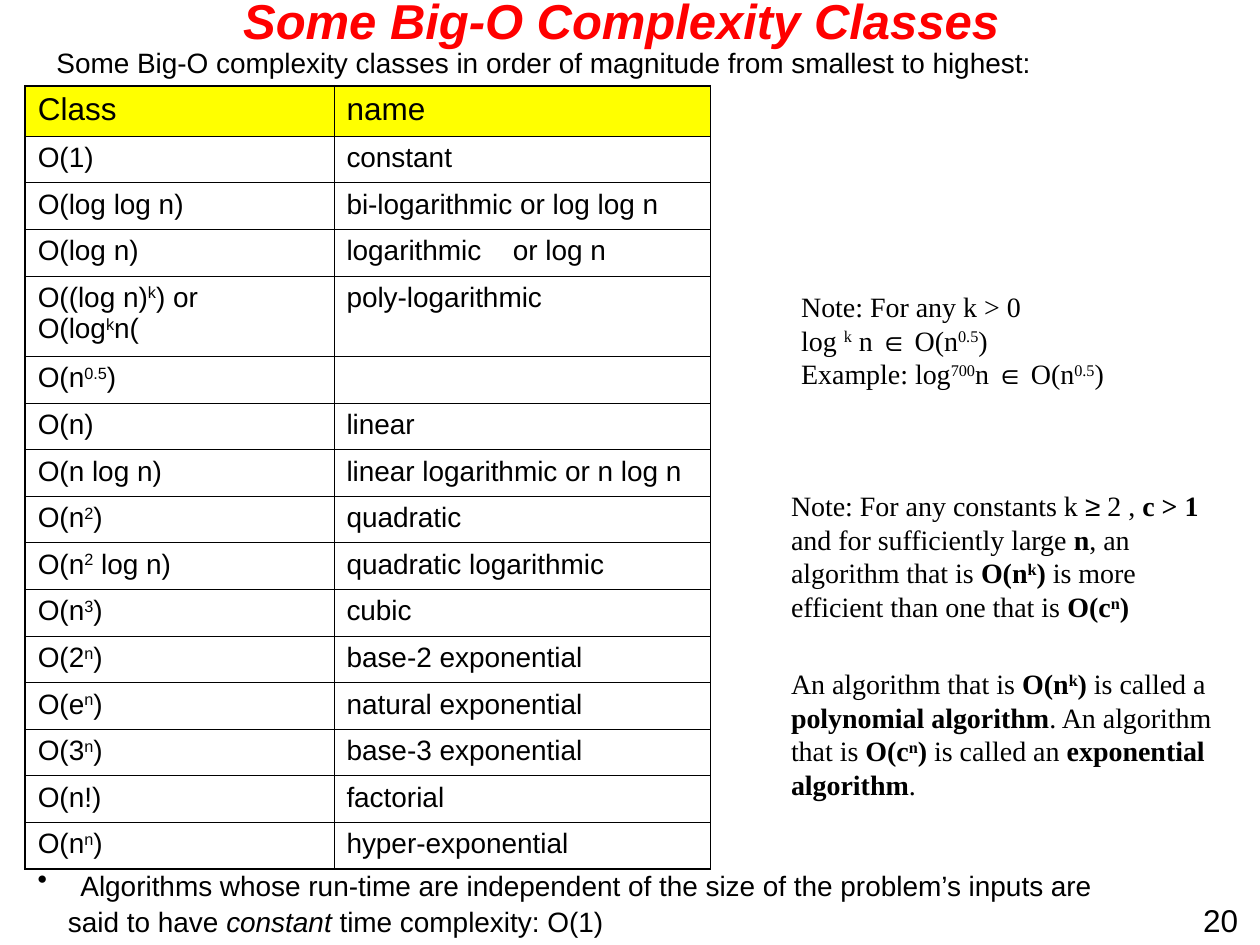
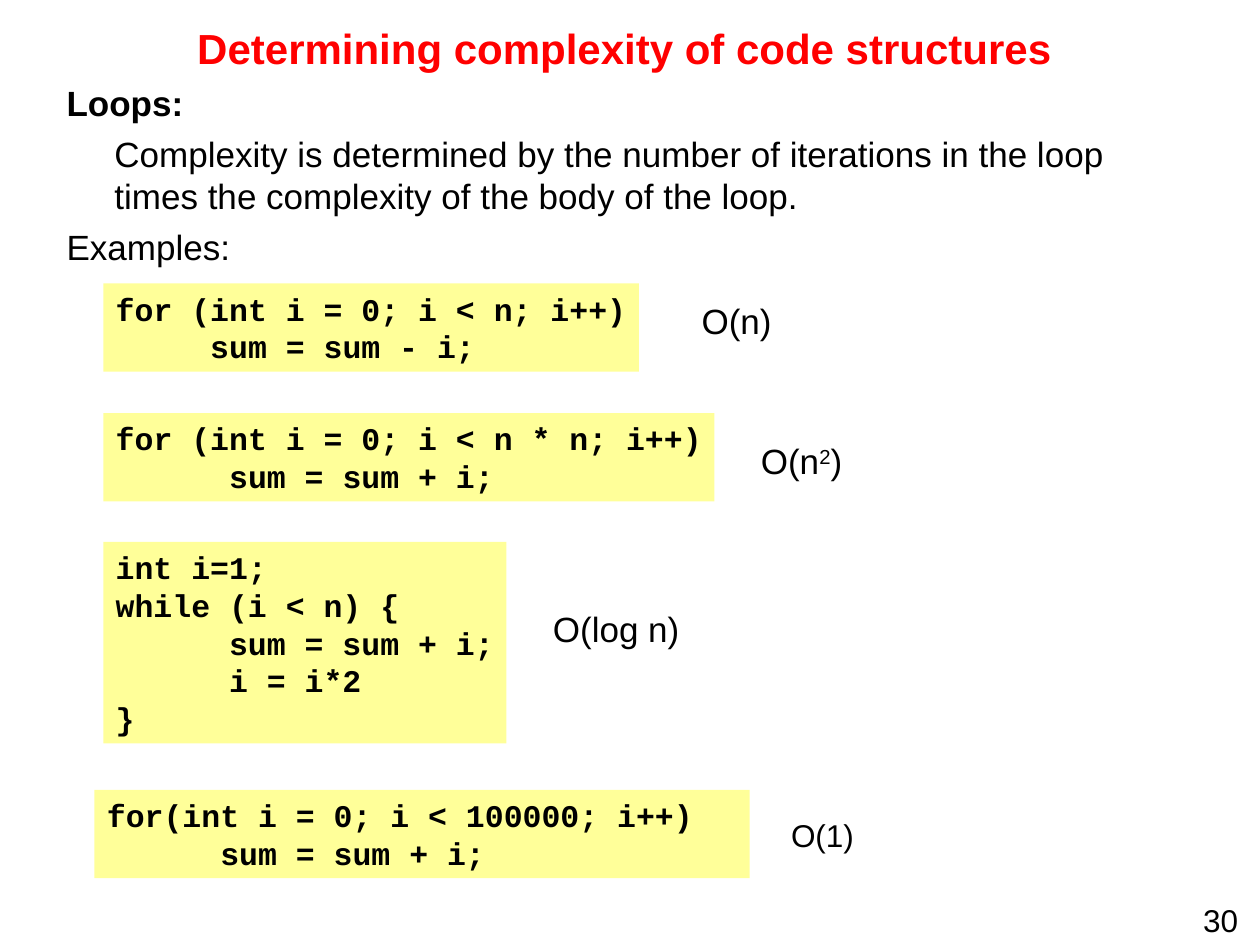
from itertools import groupby

from lxml import etree
from pptx import Presentation, util as u
from pptx.dml.color import RGBColor
from pptx.enum import shapes, text
from pptx.oxml.ns import qn

# ---- Shared look ----
COLOURS = {"text": "000000", "title": "FF0000", "header": "FFFF00",
           "code": "FFFF99", "cell": "FFFFFF", "rule": "000000"}
SANS, SERIF, MONO = "Arial", "Times New Roman", "Courier New"
SYMBOLS = "∈≥"  # always set in the sans font

# ---- Content: ^ toggles superscript, | toggles emphasis ----
CLASSES = {
    "page": "20",
    "title": "Some Big-O Complexity Classes",
    "intro": "Some Big-O complexity classes in order of magnitude from smallest to highest:",
    "table": [
        ("Class", "name"),
        ("O(1)", "constant"),
        ("O(log log n)", "bi-logarithmic or log log n"),
        ("O(log n)", "logarithmic\tor log n"),
        ("O((log n)^k^) or\nO(log^k^n(", "poly-logarithmic"),
        ("O(n^0.5^)", ""),
        ("O(n)", "linear"),
        ("O(n log n)", "linear logarithmic or n log n"),
        ("O(n^2^)", "quadratic"),
        ("O(n^2^ log n)", "quadratic logarithmic"),
        ("O(n^3^)", "cubic"),
        ("O(2^n^)", "base-2 exponential"),
        ("O(e^n^)", "natural exponential"),
        ("O(3^n^)", "base-3 exponential"),
        ("O(n!)", "factorial"),
        ("O(n^n^)", "hyper-exponential"),
    ],
    "root_note": ["Note: For any k > 0",
                  "log ^k^ n ∈ O(n^0.5^)",
                  "Example: log^700^n ∈ O(n^0.5^)"],
    "growth_note": [
        "Note: For any constants k ≥ 2 , |c > 1|",
        "and for sufficiently large |n|, an algorithm that is |O(n^k^)| is more "
        "efficient than one that is |O(c^n^)|",
        "An algorithm that is |O(n^k^)| is called a |polynomial algorithm|. An algorithm "
        "that is |O(c^n^)| is called an |exponential algorithm|."],
    "constant_time": [
        "Algorithms whose run-time are independent of the size of the problem’s inputs are",
        "said to have |constant| time complexity: O(1)"],
}
LOOPS = {
    "page": "30",
    "title": "Determining complexity of code structures",
    "intro": ["Loops:",
              "Complexity is determined by the number of iterations in the loop "
              "times the complexity of the body of the loop.",
              "Examples:"],
    # code lines, (left, top), spare width, complexity, its (left, top), its size
    "examples": [
        (["for (int i = 0; i < n; i++)", "     sum = sum - i;"],
         (0.82, 2.25), 0, "O(n)", (5.47, 2.33), 20),
        (["for (int i = 0; i < n * n; i++)", "      sum = sum + i;"],
         (0.82, 3.28), 0, "O(n^2^)", (5.94, 3.44), 20),
        (["int i=1;", "while (i < n) {", "      sum = sum + i;", "      i = i*2", "}"],
         (0.82, 4.3), 0, "O(log n)", (4.29, 4.77), 20),
        (["for(int i = 0; i < 100000; i++)", "      sum = sum + i;"],
         (0.75, 6.27), 0.35, "O(1)", (6.18, 6.43), 18),
    ],
}
CHAR_WIDTH, LINE_HEIGHT, INSET = 0.15, 0.3, (0.1, 0.05)  # of the code boxes
COLUMNS, ROW, TALL_ROWS = (2.45, 2.99), 0.37, {0: 0.4, 4: 0.64}
OUTER, INNER = 1.08, 0.45


def rgb(name):
    return RGBColor.from_string(COLOURS[name])


def pieces(line):
    """Split a marked line into (superscript, emphasis, symbol, text)."""
    raised = strong = False
    marked = []
    for char in line:
        if char == "^":
            raised = not raised
        elif char == "|":
            strong = not strong
        else:
            marked.append(((raised, strong, char in SYMBOLS), char))
    for key, group in groupby(marked, lambda item: item[0]):
        yield *key, "".join(char for _, char in group)


def write(frame, lines, size, font=SANS, colour="text", bold=False, italic=False,
          align=text.PP_ALIGN.LEFT, emphasis="bold", before=0, spacing=None,
          indents=None, bullets=(), tab=None):
    """Fill a frame; before is a number or one number per line."""
    for i, line in enumerate(lines):
        para = frame.paragraphs[0] if i == 0 else frame.add_paragraph()
        props = para._p.get_or_add_pPr()
        if indents:
            left, hanging = indents[i]
            props.set("marL", str(u.Inches(left)))
            props.set("indent", str(u.Inches(hanging)))
        if i in bullets:
            etree.SubElement(props, qn("a:buChar"), char="•")
        if tab:
            stops = etree.SubElement(props, qn("a:tabLst"))
            etree.SubElement(stops, qn("a:tab"), pos=str(u.Inches(tab)), algn="l")
        para.alignment = align
        if spacing:
            para.line_spacing = spacing
        gap = before[i] if isinstance(before, (list, tuple)) else before
        para.space_before = u.Pt(gap if i else 0)
        para.font.size, para.font.name = u.Pt(size), font
        para.font.bold, para.font.italic = bold, italic
        para.font.color.rgb = rgb(colour)
        for raised, strong, symbol, words in pieces(line):
            run = para.add_run()
            run.text = words
            if raised:
                run.font._element.set("baseline", "30000")
            if strong:
                setattr(run.font, emphasis, True)
            if symbol:
                run.font.name = SANS


def add_text(slide, box, lines, size, anchor=text.MSO_ANCHOR.TOP, **style):
    frame = slide.shapes.add_textbox(*map(u.Inches, box)).text_frame
    frame.word_wrap = True
    frame.vertical_anchor = anchor
    write(frame, lines, size, **style)


def start_slide(deck, content, title_box, title_size, italic):
    slide = deck.slides.add_slide(deck.slide_layouts[6])
    add_text(slide, (9.45, 7.1, 0.55, 0.4), [content["page"]], 18)
    add_text(slide, title_box, [content["title"]], title_size, text.MSO_ANCHOR.MIDDLE,
             colour="title", bold=True, italic=italic, align=text.PP_ALIGN.CENTER)
    return slide


def add_borders(cell, widths):
    props = cell._tc.get_or_add_tcPr()
    for place, (side, width) in enumerate(widths.items()):
        line = etree.Element(qn("a:" + side), w=str(u.Pt(width)))
        fill = etree.SubElement(line, qn("a:solidFill"))
        etree.SubElement(fill, qn("a:srgbClr"), val=COLOURS["rule"])
        props.insert(place, line)


def add_class_table(slide, rows):
    heights = [TALL_ROWS.get(r, ROW) for r in range(len(rows))]
    table = slide.shapes.add_table(
        len(rows), len(COLUMNS), u.Inches(0.2), u.Inches(0.68),
        u.Inches(sum(COLUMNS)), u.Inches(sum(heights))).table
    for column, width in zip(table.columns, COLUMNS):
        column.width = u.Inches(width)
    last_row, last_column = len(rows) - 1, len(COLUMNS) - 1
    for r, row in enumerate(rows):
        table.rows[r].height = u.Inches(heights[r])
        for c, words in enumerate(row):
            cell = table.cell(r, c)
            cell.fill.solid()
            cell.fill.fore_color.rgb = rgb("cell" if r else "header")
            add_borders(cell, {"lnL": INNER if c else OUTER,
                               "lnR": OUTER if c == last_column else INNER,
                               "lnT": INNER if r else OUTER,
                               "lnB": OUTER if r == last_row else INNER})
            write(cell.text_frame, words.split("\n"), 16 if r else 18,
                  tab=1.32 if "\t" in words else None)


def add_code(slide, lines, corner, spare):
    width = max(map(len, lines)) * CHAR_WIDTH + 2 * INSET[0] + spare
    height = len(lines) * LINE_HEIGHT + 2 * INSET[1]
    box = slide.shapes.add_shape(shapes.MSO_SHAPE.RECTANGLE,
                                 *map(u.Inches, (*corner, width, height)))
    box.shadow.inherit = False
    box.fill.solid()
    box.fill.fore_color.rgb = rgb("code")
    box.line.fill.background()
    box.text_frame.word_wrap = bool(spare)
    box.text_frame.vertical_anchor = text.MSO_ANCHOR.TOP
    write(box.text_frame, lines, 18, font=MONO, bold=True)


def build_classes(deck):
    slide = start_slide(deck, CLASSES, (0.43, 0, 9, 0.31), 28, italic=True)
    add_text(slide, (0.35, 0.36, 9.1, 0.31), [CLASSES["intro"]], 16, spacing=0.8)
    add_class_table(slide, CLASSES["table"])
    add_text(slide, (6.26, 2.25, 3.19, 0.9), CLASSES["root_note"], 16, font=SERIF)
    add_text(slide, (6.18, 3.83, 3.66, 2.57), CLASSES["growth_note"], 16, font=SERIF,
             before=(0, 0, 25))
    add_text(slide, (0.2, 6.96, 8.98, 0.54), CLASSES["constant_time"], 16,
             emphasis="italic", before=11.2, spacing=0.5,
             indents=[(0.34, -0.34), (0.24, 0)], bullets=(0,))


def build_loops(deck):
    slide = start_slide(deck, LOOPS, (0.35, 0.14, 9.21, 0.47), 24, italic=False)
    heading, *rest = LOOPS["intro"]
    add_text(slide, (0.43, 0.6, 9, 2.05), [f"|{heading}|", *rest], 20, before=5,
             indents=[(0, 0), (0.38, 0), (0, 0)])
    for lines, corner, spare, complexity, spot, size in LOOPS["examples"]:
        add_code(slide, lines, corner, spare)
        add_text(slide, (*spot, 1.34, 0.44), [complexity], size)


def main():
    deck = Presentation()
    deck.slide_width, deck.slide_height = u.Inches(10), u.Inches(7.5)
    build_classes(deck)
    build_loops(deck)
    deck.save("out.pptx")


if __name__ == "__main__":
    main()
